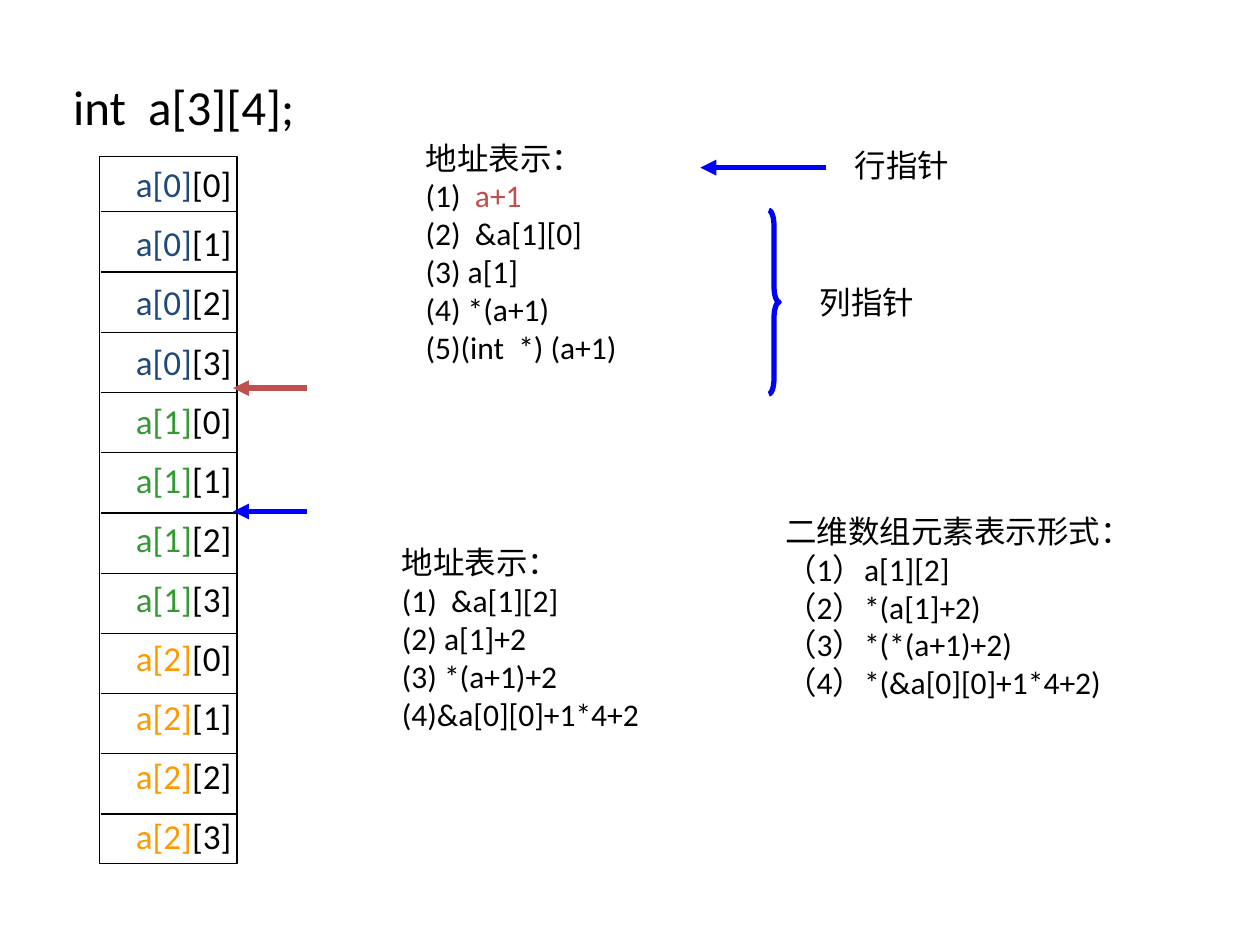
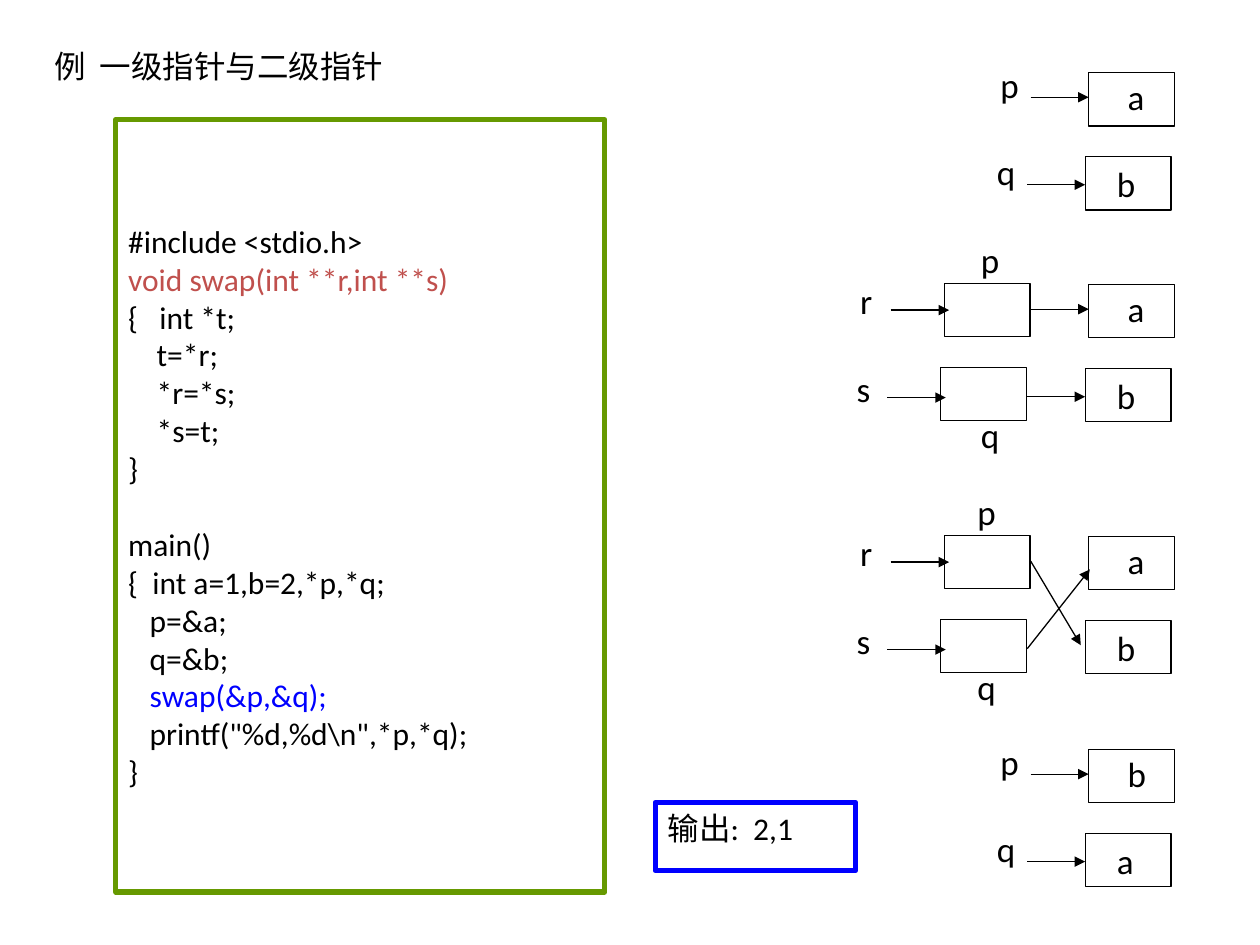
import pptx
import pptx.util
import pptx.dml.color
import pptx.enum.shapes
import pptx.enum.text
import pptx.oxml.ns
import lxml.etree

Pt = pptx.util.Pt
RGB = pptx.dml.color.RGBColor
SHAPE = pptx.enum.shapes.MSO_SHAPE
ANCHOR = pptx.enum.text.MSO_ANCHOR
ALIGN = pptx.enum.text.PP_ALIGN

BLACK = RGB(0, 0, 0)
WHITE = RGB(255, 255, 255)
RED = RGB(0xC0, 0x50, 0x4D)
BLUE = RGB(0, 0, 255)
NAVY = RGB(0x1F, 0x49, 0x7D)
GREEN = RGB(0x33, 0x99, 0x33)
ORANGE = RGB(0xFF, 0x99, 0)
OLIVE = RGB(0x66, 0x99, 0)
FONT = "Calibri"
THIN, THICK = 0.75, 3

ROW_ADDRESSES = ["地址表示：", [("(1)  ", BLACK), ("a+1", RED)], "(2)  &a[1][0]",
                 "(3) a[1]", "(4) *(a+1)", "(5)(int  *) (a+1)"]
ELEMENT_ADDRESSES = ["地址表示：", "(1)  &a[1][2]", "(2) a[1]+2", "(3) *(a+1)+2",
                     "(4)&a[0][0]+1*4+2"]
ELEMENT_FORMS = ["二维数组元素表示形式：", "（1）a[1][2]", "（2）*(a[1]+2)",
                 "（3）*(*(a+1)+2)", "（4）*(&a[0][0]+1*4+2)"]
SWAP_CODE = ["#include <stdio.h>", [("void swap(int **r,int **s)", RED)], "{   int *t;",
             "    t=*r;", "    *r=*s;", "    *s=t;", "}"]
MAIN_CODE = ["main()", "{  int a=1,b=2,*p,*q;", "   p=&a;", "   q=&b;",
             [("   ", BLACK), ("swap(&p,&q);", BLUE)],
             '   printf("%d,%d\\n",*p,*q);', "}"]


def write(frame, lines, size, anchor=ANCHOR.TOP, align=ALIGN.LEFT):
    """Fill a frame with lines, each a string or a list of (text, colour) runs."""
    frame.word_wrap = True
    frame.auto_size = pptx.enum.text.MSO_AUTO_SIZE.NONE
    frame.vertical_anchor = anchor
    frame.margin_left, frame.margin_right = Pt(7.2), Pt(0)
    frame.margin_top = frame.margin_bottom = Pt(3.6)
    for number, line in enumerate(lines):
        paragraph = frame.add_paragraph() if number else frame.paragraphs[0]
        paragraph.alignment = align
        parts = [(line, BLACK)] if isinstance(line, str) else line
        for text, colour in parts:
            run = paragraph.add_run()
            run.text = text
            if len(parts) > 1:
                run.font.color.rgb = colour
        font = paragraph.font
        font.name, font.size, font.bold = FONT, Pt(size), False
        font.color.rgb = parts[0][1]


def place(shape, box):
    """Move a shape to a box of left, top, width and height."""
    shape.left, shape.top, shape.width, shape.height = map(Pt, box)


def add_title(slide, text, box, size):
    """Write the slide title in its placeholder."""
    place(slide.shapes.title, box)
    write(slide.shapes.title.text_frame, [text], size)


def add_list(slide, index, lines, box, anchor):
    """Write a list without bullets in a body placeholder."""
    body = slide.placeholders[index]
    place(body, box)
    write(body.text_frame, lines, 18, anchor)
    for paragraph in body.text_frame.paragraphs:
        paragraph.space_before = Pt(0)
        properties = paragraph._p.get_or_add_pPr()
        properties.set("marL", "0")
        properties.set("indent", "0")
        no_bullet = lxml.etree.Element(pptx.oxml.ns.qn("a:buNone"))
        properties.find(pptx.oxml.ns.qn("a:defRPr")).addprevious(no_bullet)


def add_label(slide, line, box, size=20, anchor=ANCHOR.TOP, align=ALIGN.LEFT):
    """Add a one-line text box."""
    label = slide.shapes.add_textbox(*map(Pt, box))
    write(label.text_frame, [line], size, anchor, align)


def add_outline(slide, box, colour=BLACK, width=THIN, kind=SHAPE.RECTANGLE):
    """Add an unfilled preset shape."""
    outline = slide.shapes.add_shape(kind, *map(Pt, box))
    outline.shadow.inherit = False
    outline.fill.background()
    outline.line.color.rgb = colour
    outline.line.width = Pt(width)
    return outline


def add_line(slide, start, end, colour=BLACK, width=THIN, arrow=True):
    """Add a straight line, with an arrowhead at its end if asked."""
    line = slide.shapes.add_connector(pptx.enum.shapes.MSO_CONNECTOR.STRAIGHT,
                                      *map(Pt, (*start, *end)))
    line.line.color.rgb = colour
    line.line.width = Pt(width)
    if arrow:
        head = lxml.etree.SubElement(line.line._get_or_add_ln(), pptx.oxml.ns.qn("a:tailEnd"))
        head.set("type", "triangle")
    lxml.etree.SubElement(line._element.spPr, pptx.oxml.ns.qn("a:effectLst"))


def add_memory(slide, box):
    """Draw the array as a column of twelve cells."""
    left, top, width, height = box
    add_outline(slide, box)
    for divider in range(11):
        y = top + 31.7 + 34.42 * divider
        add_line(slide, (left + 0.6, y), (left + width + 0.6, y), arrow=False)
    for cell in range(12):
        row, column = divmod(cell, 4)
        name = [(f"a[{row}]", (NAVY, GREEN, ORANGE)[row]), (f"[{column}]", BLACK)]
        add_label(slide, name, (left + 13.6, top + 33.86 * cell, 70, 31))
    for y, colour in ((132.5, RED), (203, BLUE)):
        add_line(slide, (left + 118.7, top + y), (left + 76.2, top + y), colour, THICK)


def add_pointer_kinds(slide, box):
    """Mark which addresses are row pointers and which are column pointers."""
    left, top, width, height = box
    add_line(slide, (left + 72, top + 19.6), (left, top + 19.6), BLUE, THICK)
    add_label(slide, "行指针", (left + 68.5, top, 86, 36), 18, ANCHOR.MIDDLE, ALIGN.CENTER)
    brace = add_outline(slide, (left + 39, top + 44, 6, height - 44), BLUE, THICK,
                        SHAPE.RIGHT_BRACE)
    brace.adjustments[0] = 1.46
    add_label(slide, "列指针", (left + 48.5, top + 78.5, 86, 36), 18, ANCHOR.MIDDLE,
              ALIGN.CENTER)


def add_code(slide, box):
    """Show the swap program in a framed panel."""
    panel = add_outline(slide, box, OLIVE, THICK)
    panel.fill.solid()
    panel.fill.fore_color.rgb = WHITE
    write(panel.text_frame, SWAP_CODE + MAIN_CODE, 18, ANCHOR.MIDDLE)
    panel.text_frame.paragraphs[len(SWAP_CODE)].space_before = Pt(22)


def add_pointers(slide, left, top, values, double=False, crossed=False):
    """Draw p and q pointing at two values, optionally reached through r and s."""
    crossed_tips = [(left + 135.2, top + 62), (left + 140.4, top + 18.7)]
    for row, value in enumerate(values):
        x, y = left - 2 * row, top + 48 * row
        middle = top + 14 + 50 * row
        add_outline(slide, (x + 139.7, y, 49, 30.4))
        add_label(slide, value, (x + 154.8 - 4 * row, y - 2 + 2 * row, 26, 31))
        tip = crossed_tips[row] if crossed else (x + 139.7, middle)
        add_line(slide, (x + 106.6, middle), tip)
        pointer = "pq"[row]
        if double:
            add_outline(slide, (x + 57.2, y - 0.6, 49, 30.4))
            add_line(slide, (x + 26.6, middle + 0.5), (x + 60, middle + 0.5))
            add_label(slide, "rs"[row], (x + 2, middle - 20.5, 26, 31))
            add_label(slide, pointer,
                      (left + (69 if crossed else 71), top - 30 + 99.8 * row, 26, 31))
        else:
            add_label(slide, pointer, (x + 82.1, middle - 23, 26, 31))


def build_address_slide(deck):
    """Slide on the addresses in a two-dimensional array."""
    slide = deck.slides.add_slide(deck.slide_layouts[4])
    add_title(slide, "int  a[3][4];", (34.6, 40.3, 160, 41), 28)
    add_memory(slide, (57, 89.3, 78.5, 404))
    add_list(slide, 1, ROW_ADDRESSES, (236, 54, 166, 180), ANCHOR.MIDDLE)
    add_list(slide, 2, ELEMENT_ADDRESSES, (222.5, 289, 202, 151), ANCHOR.MIDDLE)
    add_list(slide, 3, ELEMENT_FORMS, (441.4, 289, 278, 151), ANCHOR.TOP)
    unused = slide.placeholders[4]._element
    unused.getparent().remove(unused)
    add_pointer_kinds(slide, (400.3, 76.2, 155, 149))


def build_swap_slide(deck):
    """Slide on swapping two pointers through double pointers."""
    slide = deck.slides.add_slide(deck.slide_layouts[5])
    add_title(slide, "例  一级指针与二级指针", (23.8, 23, 266, 36), 18)
    add_code(slide, (66.2, 68.4, 279.4, 441.4))
    left = 482.4
    add_pointers(slide, left, 41.6, "ab")
    add_pointers(slide, left, 162.7, "ab", double=True)
    add_pointers(slide, left, 306.7, "ab", double=True, crossed=True)
    add_pointers(slide, left, 428.4, "ba")
    output = add_outline(slide, (374.4, 458.6, 114.5, 39), BLUE, THICK)
    write(output.text_frame, ["输出:  2,1"], 18)


def main():
    """Build and save the deck."""
    deck = pptx.Presentation()
    deck.slide_width, deck.slide_height = Pt(720), Pt(540)
    build_address_slide(deck)
    build_swap_slide(deck)
    deck.save("out.pptx")


if __name__ == "__main__":
    main()
